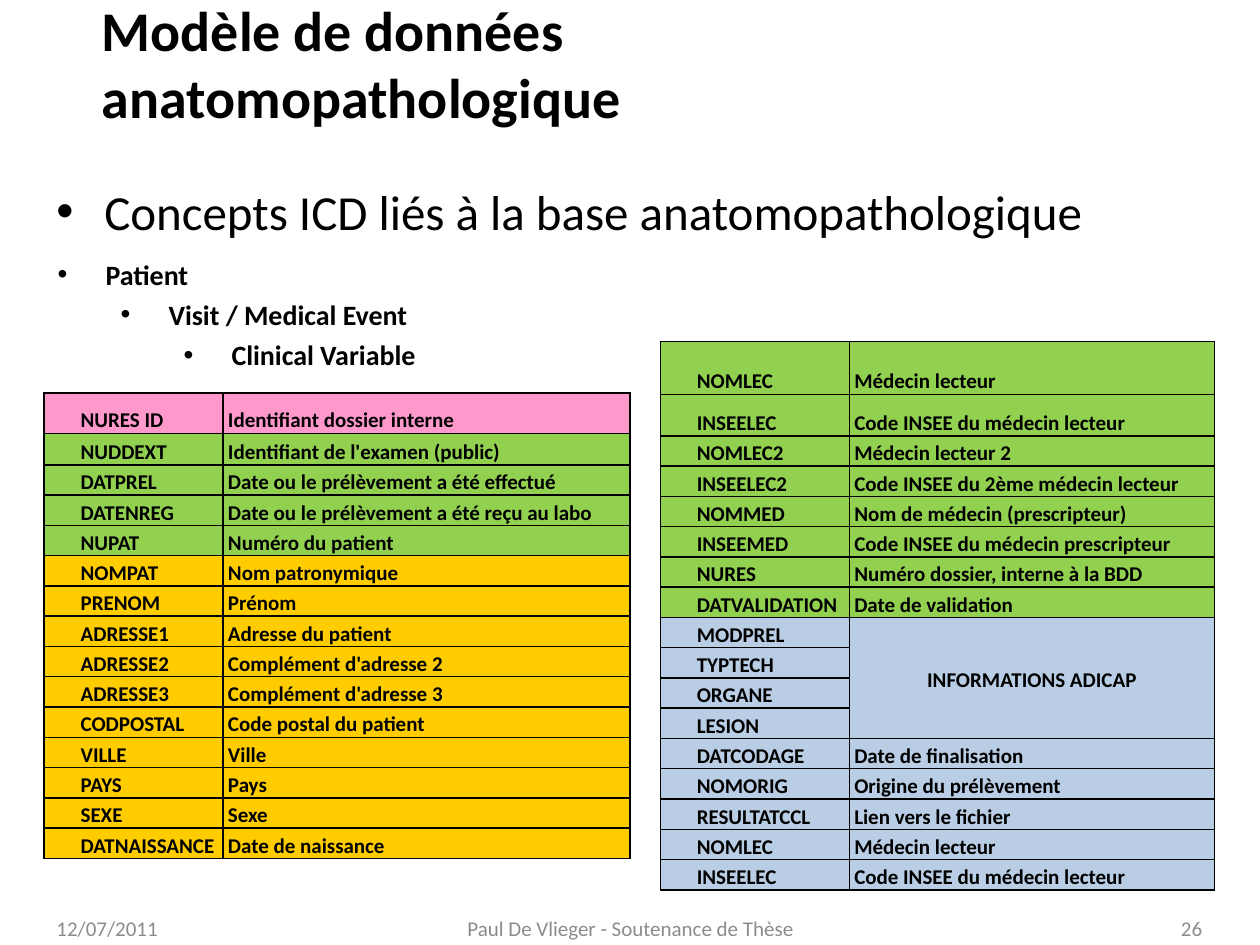
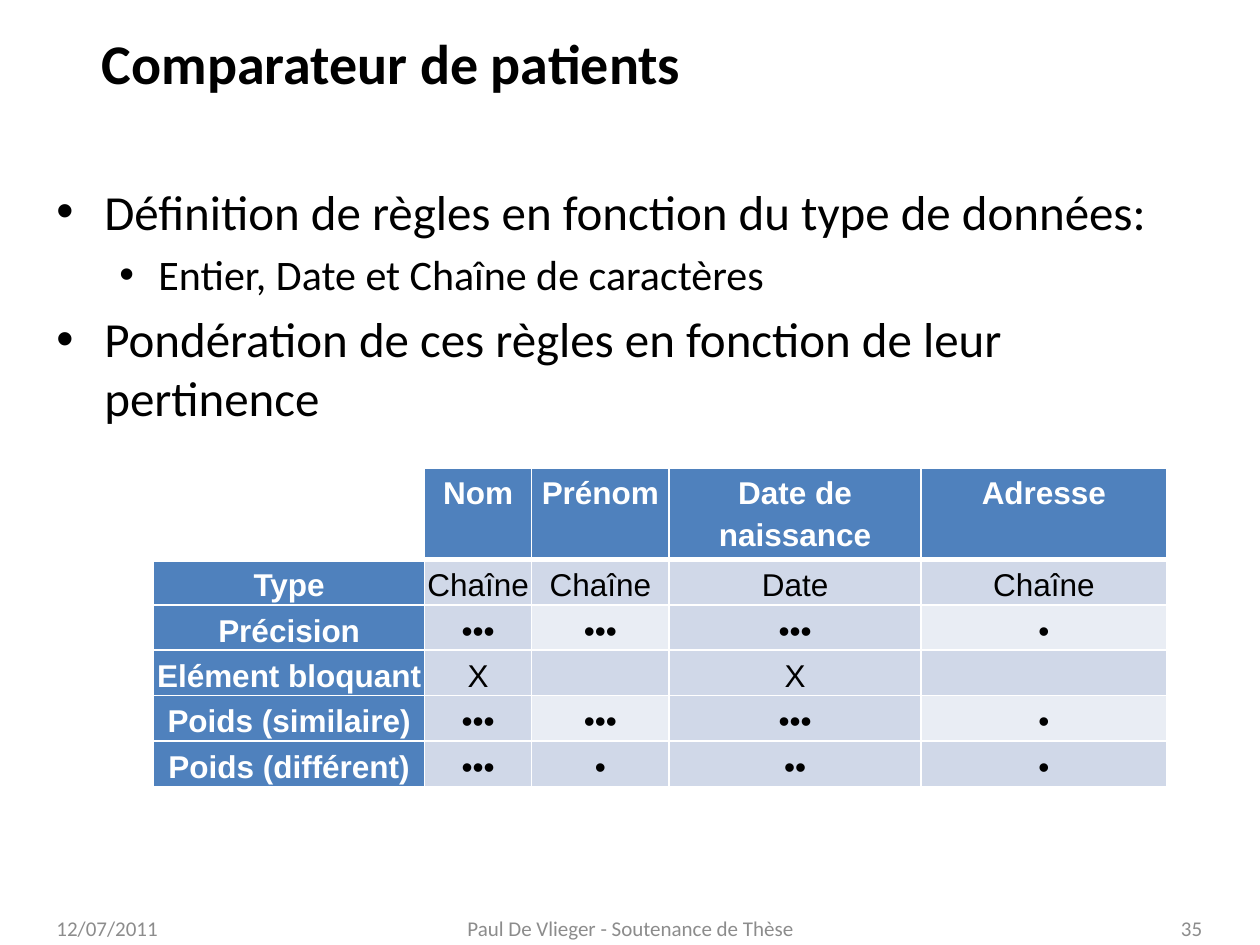
from dataclasses import dataclass, field
from typing import Any, NamedTuple

from lxml.etree import SubElement
from pptx import Presentation
from pptx.dml.color import RGBColor
from pptx.enum.text import MSO_ANCHOR as Anchor, PP_ALIGN as Align
from pptx.oxml import parse_xml
from pptx.oxml.ns import nsdecls, qn
from pptx.slide import Slide
from pptx.table import Table, _Cell as Cell
from pptx.text.text import TextFrame, _Paragraph as Paragraph
from pptx.util import Inches, Pt

COLORS = {
    "text": "000000",
    "white": "FFFFFF",
    "footer": "8C8C8C",
    "identifier": "FF99CC",
    "exam": "92D050",
    "patient": "FFCC00",
    "coding": "B9CDE5",
    "header": "4F81BD",
    "band": "D0D8E8",
    "light_band": "E9EDF4",
}


class Box(NamedTuple):
    left: float
    top: float
    width: float
    height: float


@dataclass(frozen=True)
class TextStyle:
    size: float
    bold: bool = False
    color: str = "text"
    font: str = "Calibri"


@dataclass(frozen=True)
class Line:
    text: str
    style: TextStyle
    margin: float = 0
    indent: float = 0
    bullet: str = ""
    level: int = 0
    layout: dict[str, Any] = field(default_factory=dict)


class Concept(NamedTuple):
    code: str
    meaning: str
    group: str


TITLE = TextStyle(32, bold=True)
MAIN_POINT = TextStyle(28)
SUB_POINT = TextStyle(24)
HIERARCHY = TextStyle(16, bold=True)
FOOTER = TextStyle(12, color="footer")
CONCEPT = TextStyle(12, bold=True)
RULE_LABEL = TextStyle(18, bold=True, color="white", font="Arial")
RULE_VALUE = TextStyle(18, font="Arial")

TITLE_BOX = Box(0.71, 0.06, 6.1, 0.87)
BODY_BOX = Box(0.35, 1.39, 9.3, 5.67)
HIERARCHY_BOX = Box(0.36, 1.94, 4.37, 1.07)
FOOTER_TOP, FOOTER_HEIGHT = 7.25, 0.24
DATE = "12/07/2011"
SPEAKER = "Paul De Vlieger - Soutenance de Thèse"
CONCEPT_ROW = 0.24
RULE_ROW = 0.34

EXAM_CONCEPTS = [
    Concept("NURES ID", "Identifiant dossier interne", "identifier"),
    Concept("NUDDEXT", "Identifiant de l'examen (public)", "exam"),
    Concept("DATPREL", "Date ou le prélèvement a été effectué", "exam"),
    Concept("DATENREG", "Date ou le prélèvement a été reçu au labo", "exam"),
    Concept("NUPAT", "Numéro du patient", "exam"),
    Concept("NOMPAT", "Nom patronymique", "patient"),
    Concept("PRENOM", "Prénom", "patient"),
    Concept("ADRESSE1", "Adresse du patient", "patient"),
    Concept("ADRESSE2", "Complément d'adresse 2", "patient"),
    Concept("ADRESSE3", "Complément d'adresse 3", "patient"),
    Concept("CODPOSTAL", "Code postal du patient", "patient"),
    Concept("VILLE", "Ville", "patient"),
    Concept("PAYS", "Pays", "patient"),
    Concept("SEXE", "Sexe", "patient"),
    Concept("DATNAISSANCE", "Date de naissance", "patient"),
]

READER_CONCEPTS = [
    Concept("NOMLEC", "Médecin lecteur", "exam"),
    Concept("INSEELEC", "Code INSEE du médecin lecteur", "exam"),
    Concept("NOMLEC2", "Médecin lecteur 2", "exam"),
    Concept("INSEELEC2", "Code INSEE du 2ème médecin lecteur", "exam"),
    Concept("NOMMED", "Nom de médecin (prescripteur)", "exam"),
    Concept("INSEEMED", "Code INSEE du médecin prescripteur", "exam"),
    Concept("NURES", "Numéro dossier, interne à la BDD", "exam"),
    Concept("DATVALIDATION", "Date de validation", "exam"),
    Concept("MODPREL", "INFORMATIONS ADICAP", "coding"),
    Concept("TYPTECH", "", "coding"),
    Concept("ORGANE", "", "coding"),
    Concept("LESION", "", "coding"),
    Concept("DATCODAGE", "Date de finalisation", "coding"),
    Concept("NOMORIG", "Origine du prélèvement", "coding"),
    Concept("RESULTATCCL", "Lien vers le fichier", "coding"),
    Concept("NOMLEC", "Médecin lecteur", "coding"),
    Concept("INSEELEC", "Code INSEE du médecin lecteur", "coding"),
]
ADICAP_ROWS = (8, 11)

RULES = [
    ["", "Nom", "Prénom", "Date de naissance", "Adresse"],
    ["Type", "Chaîne", "Chaîne", "Date", "Chaîne"],
    ["Précision", "•••", "•••", "•••", "•"],
    ["Elément bloquant", "X", "", "X", ""],
    ["Poids (similaire)", "•••", "•••", "•••", "•"],
    ["Poids (différent)", "•••", "•", "••", "•"],
]


def rgb(color: str) -> RGBColor:
    return RGBColor.from_string(COLORS[color])


def apply(target: Any, values: dict[str, Any]) -> None:
    for name, value in values.items():
        setattr(target, name, value)


def write_line(paragraph: Paragraph, line: Line) -> None:
    properties = paragraph._p.get_or_add_pPr()
    properties.set("marL", str(Inches(line.margin)))
    properties.set("indent", str(Inches(line.indent)))
    if line.bullet:
        SubElement(properties, qn("a:buFont")).set("typeface", "Arial")
        SubElement(properties, qn("a:buChar")).set("char", line.bullet)
    apply(paragraph, {"level": line.level, **line.layout})
    if line.text:
        run = paragraph.add_run()
        run.text = line.text
        style = line.style
        apply(run.font, {"size": Pt(style.size), "bold": style.bold, "name": style.font})
        run.font.color.rgb = rgb(style.color)


def write_lines(frame: TextFrame, lines: list[Line]) -> None:
    for position, line in enumerate(lines):
        write_line(frame.add_paragraph() if position else frame.paragraphs[0], line)


def add_text(slide: Slide, box: Box, lines: list[Line], anchor: Anchor = Anchor.TOP) -> None:
    frame = slide.shapes.add_textbox(*map(Inches, box)).text_frame
    apply(frame, {"word_wrap": True, "vertical_anchor": anchor})
    write_lines(frame, lines)


def add_page(deck: Any, title: str, number: int) -> Slide:
    slide = deck.slides.add_slide(deck.slide_layouts[6])
    add_text(slide, TITLE_BOX, [Line(title, TITLE)], Anchor.MIDDLE)
    footers = [
        (0.35, 2.33, DATE, Align.LEFT),
        (3.42, 3.17, SPEAKER, Align.CENTER),
        (7.31, 2.33, str(number), Align.RIGHT),
    ]
    for left, width, text, alignment in footers:
        line = Line(text, FOOTER, layout={"alignment": alignment})
        add_text(slide, Box(left, FOOTER_TOP, width, FOOTER_HEIGHT), [line], Anchor.MIDDLE)
    return slide


def add_grid(slide: Slide, left: float, top: float, widths: list[float], heights: list[float]) -> Table:
    box = Box(left, top, sum(widths), sum(heights))
    table = slide.shapes.add_table(len(heights), len(widths), *map(Inches, box)).table
    for column, width in zip(table.columns, widths):
        column.width = Inches(width)
    for row, height in zip(table.rows, heights):
        row.height = Inches(height)
    return table


def set_borders(cell: Cell, color: str, top: float = 1, bottom: float = 1) -> None:
    properties = cell._tc.get_or_add_tcPr()
    for position, (side, width) in enumerate({"L": 1, "R": 1, "T": top, "B": bottom}.items()):
        border = parse_xml(
            f'<a:ln{side} {nsdecls("a")} w="{Pt(width)}"><a:solidFill>'
            f'<a:srgbClr val="{COLORS[color]}"/></a:solidFill></a:ln{side}>'
        )
        properties.insert(position, border)


def fill_cell(cell: Cell, line: Line, fill: str, side_margin: float, anchor: Anchor) -> None:
    apply(cell, {
        "margin_left": Inches(side_margin),
        "margin_right": Inches(side_margin),
        "margin_top": 0,
        "margin_bottom": 0,
        "vertical_anchor": anchor,
    })
    cell.fill.solid()
    cell.fill.fore_color.rgb = rgb(fill)
    write_lines(cell.text_frame, [line])


def add_concepts(slide: Slide, left: float, top: float, widths: list[float],
                 first_heights: list[float], concepts: list[Concept]) -> Table:
    regular_rows = len(concepts) - len(first_heights)
    table = add_grid(slide, left, top, widths, first_heights + [CONCEPT_ROW] * regular_rows)
    for row, concept in enumerate(concepts):
        for column, (text, indent) in enumerate([(concept.code, 0.25), (concept.meaning, 0)]):
            cell = table.cell(row, column)
            line = Line(text, CONCEPT, indent=indent, layout={"line_spacing": 1.2})
            fill_cell(cell, line, concept.group, 0.04, Anchor.BOTTOM)
            set_borders(cell, "text")
    return table


def build_data_model(deck: Any) -> None:
    slide = add_page(deck, "Modèle de données anatomopathologique", 26)
    heading = "Concepts ICD liés à la base anatomopathologique"
    add_text(slide, BODY_BOX, [Line(heading, MAIN_POINT, 0.38, -0.38, "•")])
    levels = ["Patient", "Visit / Medical Event", "Clinical Variable"]
    add_text(slide, HIERARCHY_BOX, [
        Line(text, HIERARCHY, 0.38 + 0.5 * level, -0.38, "•", level, {"line_spacing": 1.2})
        for level, text in enumerate(levels)
    ])
    reader_table = add_concepts(slide, 5.24, 2.71, [1.5, 2.9], [0.42, 0.33], READER_CONCEPTS)
    first, last = ADICAP_ROWS
    adicap = reader_table.cell(first, 1)
    adicap.merge(reader_table.cell(last, 1))
    adicap.vertical_anchor = Anchor.MIDDLE
    adicap.text_frame.paragraphs[0].alignment = Align.CENTER
    add_concepts(slide, 0.35, 3.12, [1.42, 3.23], [0.32, 0.25], EXAM_CONCEPTS)


def rule_fill(row: int, column: int) -> str:
    if row == 0 and column == 0:
        return "white"
    if row == 0 or column == 0:
        return "header"
    return "light_band" if row in (2, 4) and column % 2 == 0 else "band"


def build_patient_comparator(deck: Any) -> None:
    slide = add_page(deck, "Comparateur de patients", 35)
    add_text(slide, BODY_BOX, [
        Line("Définition de règles en fonction du type de données:", MAIN_POINT, 0.38, -0.38, "•"),
        Line("Entier, Date et Chaîne de caractères", SUB_POINT, 0.81, -0.31, "•", 1,
             {"space_before": Pt(4.8)}),
        Line("Pondération de ces règles en fonction de leur pertinence", MAIN_POINT, 0.38, -0.38, "•",
             layout={"space_before": Pt(5.6)}),
    ])
    heights = [0.67] + [RULE_ROW] * (len(RULES) - 1)
    table = add_grid(slide, 1.22, 3.72, [2.15, 0.85, 1.09, 2, 1.95], heights)
    for row, texts in enumerate(RULES):
        for column, text in enumerate(texts):
            cell = table.cell(row, column)
            style = RULE_VALUE if row and column else RULE_LABEL
            layout = {"alignment": Align.CENTER, "line_spacing": 1.2, "space_after": Pt(6 if row else 0)}
            anchor = Anchor.MIDDLE if row else Anchor.TOP
            fill_cell(cell, Line(text, style, layout=layout), rule_fill(row, column), 0, anchor)
            set_borders(cell, "white", top=3 if row == 1 else 1, bottom=1 if row else 3)


def main() -> None:
    deck = Presentation()
    apply(deck, {"slide_width": Inches(10), "slide_height": Inches(7.5)})
    build_data_model(deck)
    build_patient_comparator(deck)
    deck.save("out.pptx")


if __name__ == "__main__":
    main()
